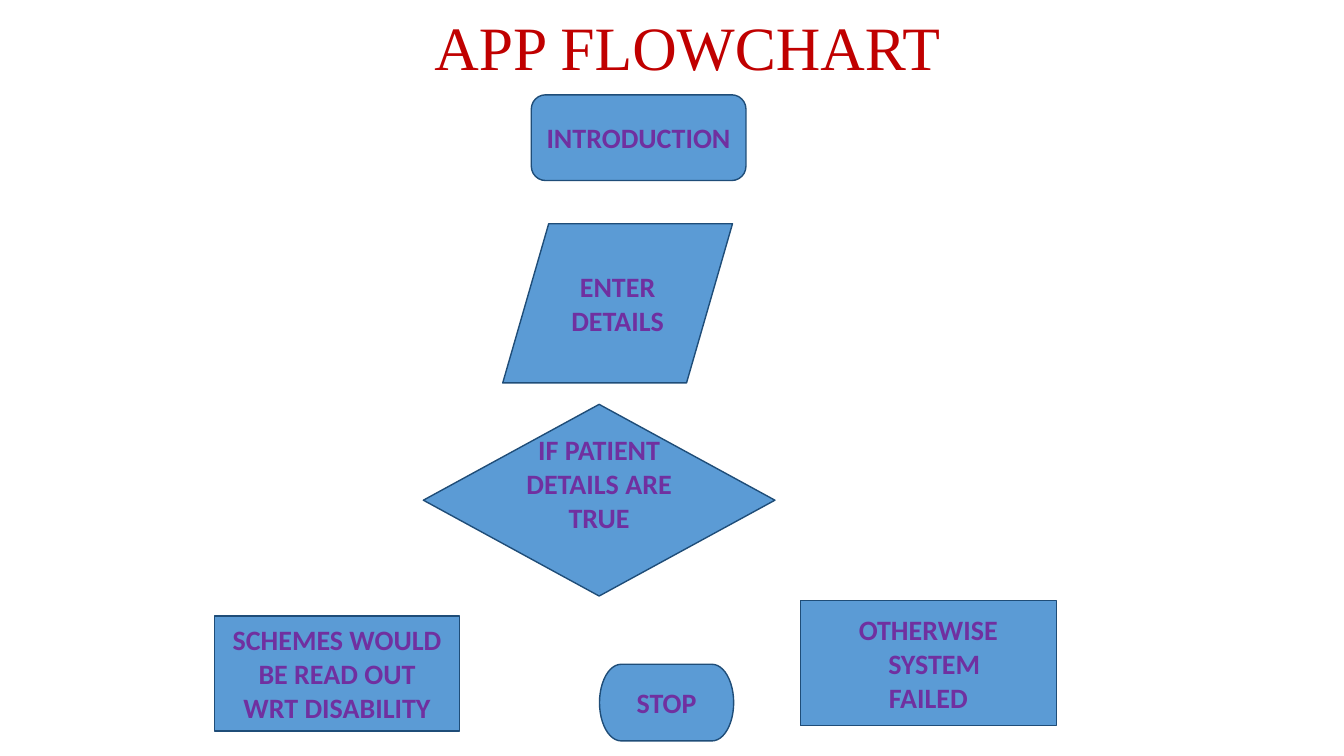
import dataclasses

import pptx
import pptx.dml.color
import pptx.enum.shapes
import pptx.enum.text
import pptx.shapes.autoshape
import pptx.slide
import pptx.util

Cm = pptx.util.Cm
Kind = pptx.enum.shapes.MSO_SHAPE

COLOURS = {
    "title": "C00000",
    "fill": "5B9BD5",
    "outline": "1F4D78",
    "label": "7030A0",
}


@dataclasses.dataclass(frozen=True)
class Step:
    """A flowchart symbol; lengths are in centimetres."""
    kind: Kind
    left: float
    top: float
    width: float
    height: float
    lines: tuple[str, ...]
    indents: tuple[float, ...] = ()
    bottom_margin: float = 0.13


STEPS = (
    Step(Kind.FLOWCHART_ALTERNATE_PROCESS, 13.39, 2.39, 5.41, 2.16, ("INTRODUCTION",)),
    Step(Kind.FLOWCHART_DATA, 12.67, 5.64, 5.79, 4.01, ("ENTER DETAILS",)),
    Step(Kind.FLOWCHART_DECISION, 10.67, 10.19, 8.86, 4.83,
         ("IF PATIENT DETAILS ARE TRUE",), bottom_margin=0.98),
    Step(Kind.RECTANGLE, 5.41, 15.52, 6.17, 2.9,
         ("SCHEMES WOULD BE READ OUT", "WRT DISABILITY")),
    Step(Kind.FLOWCHART_PROCESS, 20.17, 15.14, 6.45, 3.15,
         ("OTHERWISE", "SYSTEM", "FAILED"), indents=(0, 0.3, 0)),
    Step(Kind.FLOWCHART_TERMINATOR, 15.11, 16.74, 3.38, 1.93, ("STOP",)),
)


def colour(name: str) -> pptx.dml.color.RGBColor:
    return pptx.dml.color.RGBColor.from_string(COLOURS[name])


def write_text(
    shape: pptx.shapes.autoshape.Shape,
    lines: tuple[str, ...],
    *,
    font: str,
    size: float,
    text_colour: str,
    bold: bool = False,
    line_spacing: float = 1.0,
    indents: tuple[float, ...] = (),
    bottom_margin: float = 0.13,
) -> None:
    """Centre one paragraph per line, with optional left indents in centimetres."""
    frame = shape.text_frame
    frame.word_wrap = True
    frame.vertical_anchor = pptx.enum.text.MSO_ANCHOR.MIDDLE
    frame.margin_bottom = Cm(bottom_margin)
    for index, line in enumerate(lines):
        paragraph = frame.add_paragraph() if index else frame.paragraphs[0]
        paragraph.alignment = pptx.enum.text.PP_ALIGN.CENTER
        paragraph.line_spacing = line_spacing
        if indents and indents[index]:
            paragraph._p.get_or_add_pPr().set("marL", str(Cm(indents[index])))
        run = paragraph.add_run()
        run.text = line
        run.font.name = font
        run.font.size = pptx.util.Pt(size)
        run.font.bold = bold
        run.font.color.rgb = colour(text_colour)


def add_title(slide: pptx.slide.Slide, text: str) -> None:
    shape = slide.shapes.add_textbox(Cm(2.72), Cm(0), Cm(29.21), Cm(2.54))
    write_text(shape, (text,), font="Times New Roman", size=44,
               text_colour="title", line_spacing=0.9)


def add_step(slide: pptx.slide.Slide, step: Step) -> None:
    shape = slide.shapes.add_shape(
        step.kind, Cm(step.left), Cm(step.top), Cm(step.width), Cm(step.height))
    shape.shadow.inherit = False
    shape.fill.solid()
    shape.fill.fore_color.rgb = colour("fill")
    shape.line.color.rgb = colour("outline")
    shape.line.width = pptx.util.Pt(1)
    write_text(shape, step.lines, font="Calibri", size=20, text_colour="label",
               bold=True, indents=step.indents, bottom_margin=step.bottom_margin)


def main() -> None:
    presentation = pptx.Presentation()
    presentation.slide_width = Cm(33.87)
    presentation.slide_height = Cm(19.05)
    slide = presentation.slides.add_slide(presentation.slide_layouts[6])
    add_title(slide, "APP FLOWCHART")
    for step in STEPS:
        add_step(slide, step)
    presentation.save("out.pptx")


if __name__ == "__main__":
    main()
